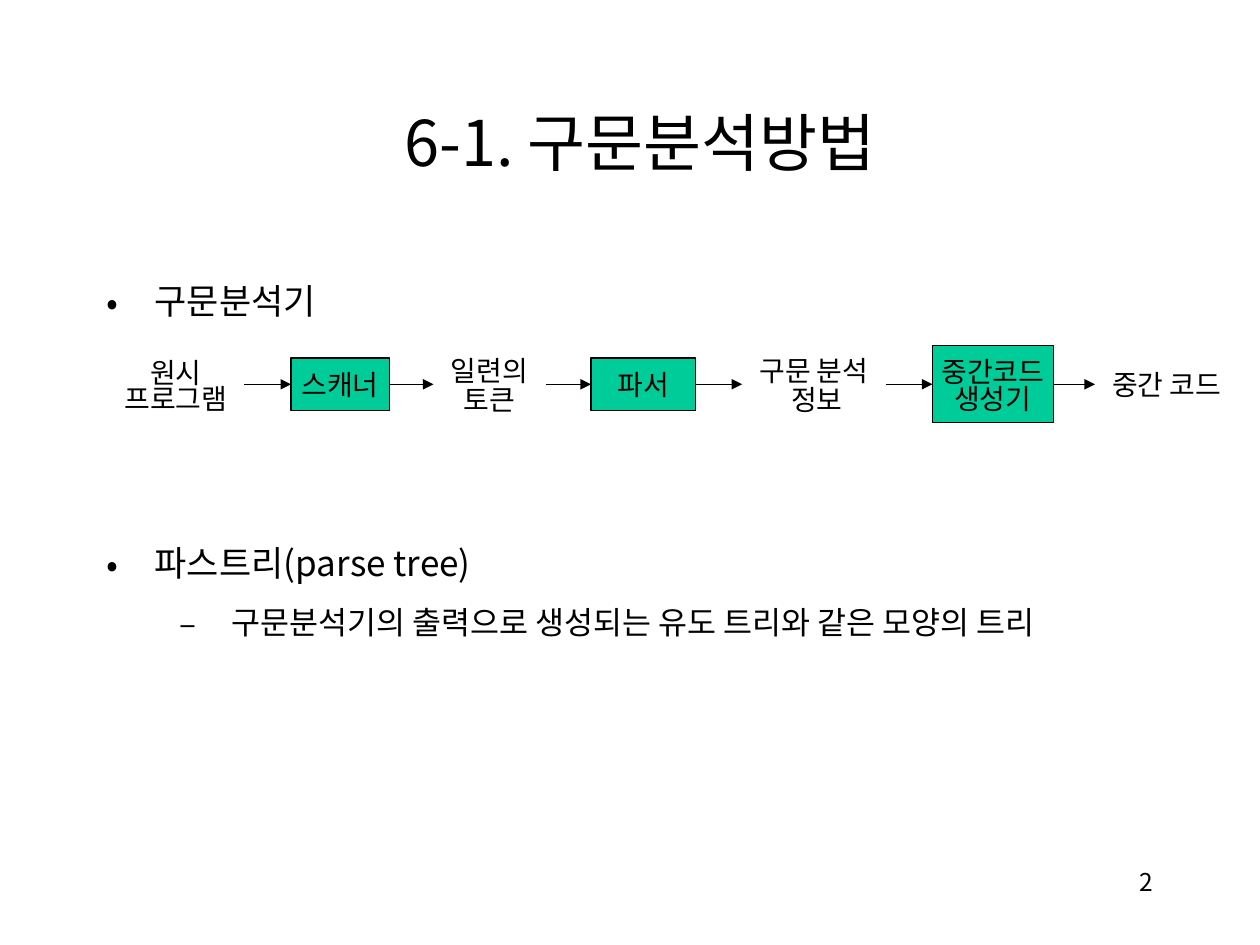
from itertools import pairwise

from lxml.etree import SubElement
from pptx import Presentation
from pptx.dml.color import RGBColor
from pptx.enum.shapes import MSO_CONNECTOR, MSO_SHAPE
from pptx.enum.text import MSO_ANCHOR, PP_ALIGN
from pptx.oxml.ns import qn
from pptx.util import Inches, Pt

SANS = "Noto Sans CJK KR"
SERIF = "Times New Roman"
BLACK = "000000"
GREEN = "00CC99"
MID = 3.05  # height of the flow's centre line
PAD = 0.04  # gap between a label and its arrows

# left, width, height, lines, spacing of the second line, fill
STEPS = [
    (0.89, 1.01, 0.56, ["원시", "프로그램"], 0.5, None),
    (2.31, 0.78, 0.42, ["스캐너"], 1, GREEN),
    (3.48, 0.81, 0.58, ["일련의", "토큰"], 0.6, None),
    (4.69, 0.83, 0.42, ["파서"], 1, GREEN),
    (5.93, 1.06, 0.58, ["구문 분석", " 정보"], 0.6, None),
    (7.4, 0.96, 0.61, ["중간코드", "생성기"], 0.8, GREEN),
    (8.73, 1.06, 0.37, ["중간 코드"], 1, None),
]

# text, size, line spacing, space before, margin, indent, bullet
POINTS = [
    ("구문분석기", 20, 1.5, 5, 0.38, -0.38, "•"),
    ("파스트리(parse tree)", 20, 1.5, 114, 0.38, -0.38, "•"),
    ("구문분석기의 출력으로 생성되는 유도 트리와 같은 모양의 트리",
     18, 1.3, 4.5, 0.99, -0.41, "–"),
]


def color(value):
    return RGBColor.from_string(value)


def add_run(para, text, size, face):
    """Add a run with the given Latin face and the sans face for Korean."""
    run = para.add_run()
    run.text = text
    run.font.size = Pt(size)
    run.font.name = face
    run.font.color.rgb = color(BLACK)
    SubElement(run.font._element, qn("a:ea")).set("typeface", SANS)


def next_para(frame, index):
    return frame.add_paragraph() if index else frame.paragraphs[0]


def add_box(slide, left, top, width, height):
    box = slide.shapes.add_textbox(
        Inches(left), Inches(top), Inches(width), Inches(height))
    box.text_frame.word_wrap = True
    return box


def add_line(slide, left, top, width, height, text, size, align):
    """Add a text box with one line of text."""
    frame = add_box(slide, left, top, width, height).text_frame
    frame.paragraphs[0].alignment = align
    add_run(frame.paragraphs[0], text, size, SANS)
    return frame


def add_points(slide):
    frame = add_box(slide, 0.75, 2, 9, 4.5).text_frame
    for index, (text, size, ratio, before, margin, indent, mark) in enumerate(POINTS):
        para = next_para(frame, index)
        para.line_spacing = ratio
        para.space_before = Pt(before)
        props = para._p.get_or_add_pPr()
        props.set("marL", str(Inches(margin)))
        props.set("indent", str(Inches(indent)))
        SubElement(props, qn("a:buFont")).set("typeface", SANS)
        SubElement(props, qn("a:buChar")).set("char", mark)
        add_run(para, text, size, SANS)


def add_step(slide, left, width, height, lines, ratio, fill):
    top = MID - height / 2
    if fill:
        shape = slide.shapes.add_shape(
            MSO_SHAPE.RECTANGLE, Inches(left), Inches(top),
            Inches(width), Inches(height))
        shape.shadow.inherit = False
        shape.fill.solid()
        shape.fill.fore_color.rgb = color(fill)
        shape.line.color.rgb = color(BLACK)
        shape.line.width = Pt(0.75)
    else:
        shape = add_box(slide, left, top, width, height)
    frame = shape.text_frame
    frame.word_wrap = False
    frame.margin_left = frame.margin_right = 0
    frame.vertical_anchor = MSO_ANCHOR.MIDDLE
    for index, text in enumerate(lines):
        para = next_para(frame, index)
        para.alignment = PP_ALIGN.CENTER
        para.space_before = Pt(0 if fill else 4)
        if index:
            para.line_spacing = ratio
        add_run(para, text, 16, SERIF)


def add_arrow(slide, start, end):
    arrow = slide.shapes.add_connector(
        MSO_CONNECTOR.STRAIGHT, Inches(start), Inches(MID),
        Inches(end), Inches(MID))
    arrow.line.color.rgb = color(BLACK)
    arrow.line.width = Pt(0.75)
    SubElement(arrow.line._get_or_add_ln(), qn("a:tailEnd")).set("type", "triangle")
    SubElement(arrow._element.spPr, qn("a:effectLst"))


def add_flow(slide):
    for step in STEPS:
        add_step(slide, *step)
    for prev, step in pairwise(STEPS):
        start = prev[0] + prev[1] + (0 if prev[-1] else PAD)
        end = step[0] - (0 if step[-1] else PAD)
        add_arrow(slide, start, end)


def main():
    deck = Presentation()
    deck.slide_width = Inches(10)
    deck.slide_height = Inches(7.5)
    slide = deck.slides.add_slide(deck.slide_layouts[6])
    title = add_line(slide, 0.83, 0.5, 8.5, 1.25,
                     "6-1. 구문분석방법", 36, PP_ALIGN.CENTER)
    title.vertical_anchor = MSO_ANCHOR.MIDDLE
    add_points(slide)
    add_flow(slide)
    add_line(slide, 7.17, 6.83, 2.08, 0.5, "2", 14, PP_ALIGN.RIGHT)
    deck.save("out.pptx")


if __name__ == "__main__":
    main()
